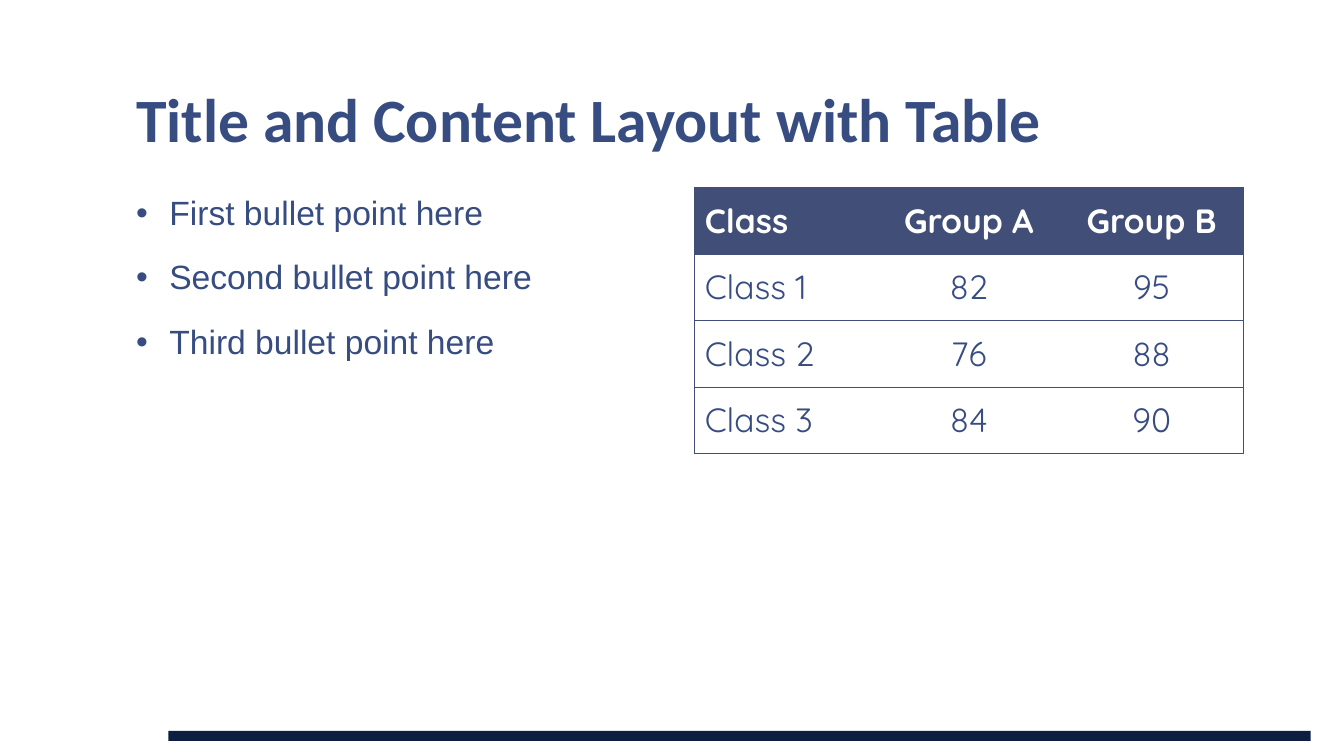
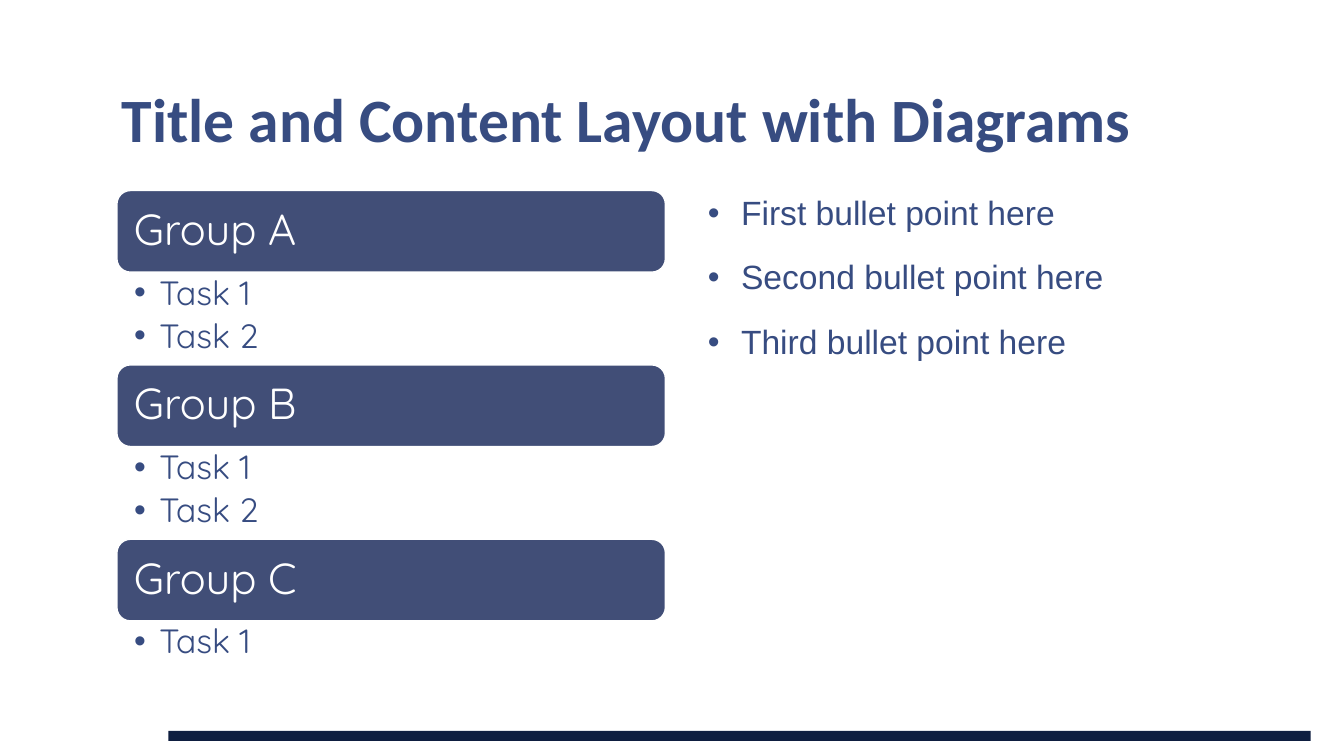
"""Build two slides: bullets beside a table, and a grouped task list beside bullets."""

from dataclasses import dataclass

from lxml import etree
from pptx import Presentation
from pptx.dml.color import RGBColor
from pptx.enum.shapes import MSO_SHAPE
from pptx.enum.text import MSO_ANCHOR, PP_ALIGN
from pptx.oxml.ns import qn
from pptx.util import Inches, Pt

RECT = MSO_SHAPE.RECTANGLE
ROUND = MSO_SHAPE.ROUNDED_RECTANGLE
TOP, MIDDLE, BOTTOM = MSO_ANCHOR.TOP, MSO_ANCHOR.MIDDLE, MSO_ANCHOR.BOTTOM
LEFT, CENTER = PP_ALIGN.LEFT, PP_ALIGN.CENTER

COLORS = {"text": "374C81", "fill": "414E77", "bar": "0E1E40", "white": "FFFFFF"}
HEAD, BODY, ACCENT = "Calibri", "Arial", "Quicksand"
PAD = (0.13, 0.07, 0.13, 0.07)

POINTS = ["First bullet point here", "Second bullet point here", "Third bullet point here"]
ROWS = [
    ["Class", "Group A", "Group B"],
    ["Class 1", "82", "95"],
    ["Class 2", "76", "88"],
    ["Class 3", "84", "90"],
]


@dataclass(frozen=True)
class Box:
    left: float
    top: float
    width: float
    height: float

    def lengths(self):
        return [Inches(n) for n in (self.left, self.top, self.width, self.height)]


@dataclass(frozen=True)
class Group:
    name: str
    tasks: tuple[str, ...]
    height: float


GROUPS = [
    Group("Group A", ("Task 1", "Task 2"), 0.91),
    Group("Group B", ("Task 1", "Task 2"), 0.91),
    Group("Group C", ("Task 1",), 0.56),
]


def color(name: str) -> RGBColor:
    return RGBColor.from_string(COLORS[name])


def write(frame, lines, *, font=ACCENT, size=24, ink="text", bold=False, align=LEFT,
          anchor=TOP, pad=None, lead=1.0, before=0, after=0, hang=0) -> None:
    frame.word_wrap = True
    frame.vertical_anchor = anchor
    if pad:
        (frame.margin_left, frame.margin_top,
         frame.margin_right, frame.margin_bottom) = map(Inches, pad)
    for i, line in enumerate(lines):
        para = frame.add_paragraph() if i else frame.paragraphs[0]
        para.alignment, para.line_spacing = align, lead
        para.space_before, para.space_after = Pt(before), Pt(after)
        if hang:
            props = para._p.get_or_add_pPr()
            props.set("marL", str(Inches(hang)))
            props.set("indent", str(-Inches(hang)))
            etree.SubElement(props, qn("a:buFont"), typeface=BODY)
            etree.SubElement(props, qn("a:buChar"), char="•")
        run = para.add_run()
        run.text = line
        run.font.name, run.font.size, run.font.bold = font, Pt(size), bold
        run.font.color.rgb = color(ink)


def label(slide, box: Box, lines, **form) -> None:
    write(slide.shapes.add_textbox(*box.lengths()).text_frame, lines, **form)


def block(slide, kind, box: Box, fill: str, edge: str = ""):
    shape = slide.shapes.add_shape(kind, *box.lengths())
    shape.shadow.inherit = False
    shape.fill.solid()
    shape.fill.fore_color.rgb = color(fill)
    if edge:
        shape.line.color.rgb = color(edge)
        shape.line.width = Pt(1)
    else:
        shape.line.fill.background()
    return shape


def start(deck, title: str, box: Box):
    slide = deck.slides.add_slide(deck.slide_layouts[6])
    block(slide, RECT, Box(1.67, 7.25, 11.33, 0.1), "bar")
    label(slide, box, [title], font=HEAD, size=44, bold=True,
          anchor=BOTTOM, pad=PAD, lead=0.85)
    return slide


def points(slide, left: float) -> None:
    label(slide, Box(left, 1.86, 5.44, 4.89), POINTS, font=BODY,
          pad=PAD, lead=0.95, before=18.7, hang=0.33)


def border(cell, sides: set[str]) -> None:
    props = cell._tc.get_or_add_tcPr()
    for i, side in enumerate("LRTB"):
        line = etree.Element(qn(f"a:ln{side}"), w=str(Pt(0.5)))
        if side in sides:
            paint = etree.SubElement(line, qn("a:solidFill"))
            etree.SubElement(paint, qn("a:srgbClr"), val=COLORS["fill"])
        else:
            etree.SubElement(line, qn("a:noFill"))
        props.insert(i, line)


def scores(slide, box: Box) -> None:
    last = len(ROWS[0]) - 1
    table = slide.shapes.add_table(len(ROWS), last + 1, *box.lengths()).table
    table.horz_banding = table.first_row = False
    for r, row in enumerate(ROWS):
        table.rows[r].height = Inches(box.height / len(ROWS))
        for c, text in enumerate(row):
            cell = table.cell(r, c)
            if r == 0:
                cell.fill.solid()
                cell.fill.fore_color.rgb = color("fill")
            else:
                cell.fill.background()
            cell.vertical_anchor = MIDDLE
            write(cell.text_frame, [text], ink="text" if r else "white",
                  bold=r == 0, align=CENTER if c else LEFT, anchor=MIDDLE)
            sides = {"T", "B"}
            if c == 0:
                sides.add("L")
            if c == last:
                sides.add("R")
            border(cell, sides)


def tasks(slide, left: float, top: float, width: float) -> None:
    tall, step = 0.81, 1.73
    for i, group in enumerate(GROUPS):
        y = top + i * step
        head = block(slide, ROUND, Box(left, y, width, tall), "fill", "white")
        write(head.text_frame, [group.name], size=31, ink="white",
              anchor=MIDDLE, pad=(0.13, 0.13, 0.13, 0.13), lead=0.9)
        label(slide, Box(left, y + tall, width, group.height), group.tasks,
              pad=(0.17, 0.04, 0.24, 0.04), lead=0.9, after=4.8, hang=0.25)


def main() -> None:
    deck = Presentation()
    deck.slide_width, deck.slide_height = Inches(13.33), Inches(7.5)

    slide = start(deck, "Title and Content Layout with Table", Box(1.22, 0.08, 11.11, 1.53))
    points(slide, 1.22)
    scores(slide, Box(6.89, 1.86, 5.44, 2.64))

    slide = start(deck, "Title and Content Layout with Diagrams", Box(1.08, 0.08, 11.75, 1.53))
    tasks(slide, 1.16, 1.89, 5.44)
    points(slide, 6.89)

    deck.save("out.pptx")


if __name__ == "__main__":
    main()
